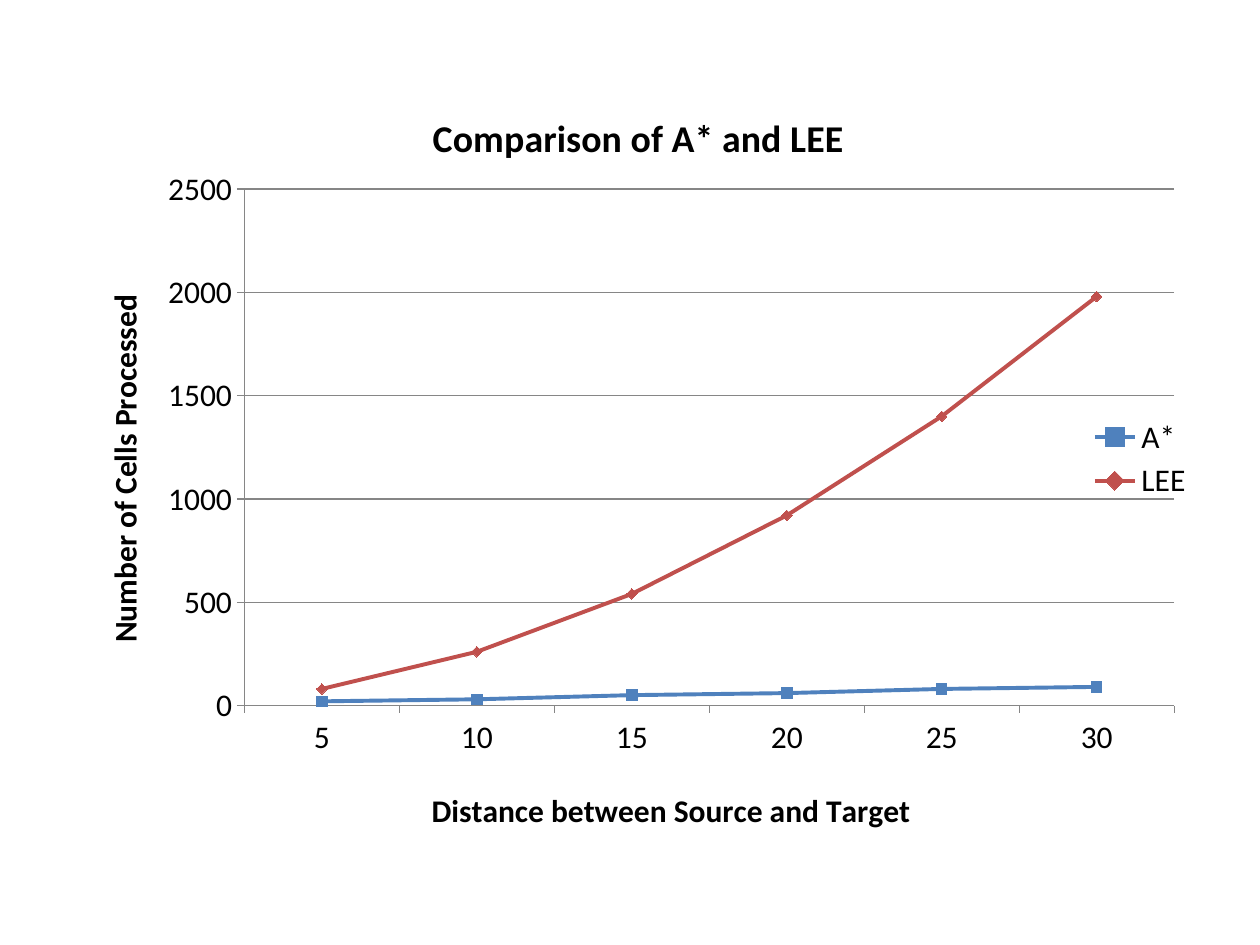
import lxml.etree
import pptx
import pptx.chart.data
import pptx.dml.color
import pptx.enum.chart
import pptx.oxml.ns
import pptx.util

Pt = pptx.util.Pt
ChartEnum = pptx.enum.chart


def color(hex_string):
    return pptx.dml.color.RGBColor.from_string(hex_string)


class ChartSlide:
    """Hold the chart style and the slide being built."""

    font_name = "Calibri"
    text_color = "000000"
    line_color = "868686"
    text_size = 18
    title_size = 21.6

    def __init__(self, presentation):
        self.slide = presentation.slides.add_slide(presentation.slide_layouts[6])

    def format_font(self, font, size, bold=False):
        font.name = self.font_name
        font.size = Pt(size)
        font.bold = bold
        font.color.rgb = color(self.text_color)

    def format_line(self, line, hex_string, width):
        line.color.rgb = color(hex_string)
        line.width = Pt(width)

    def write_title(self, title, text, size):
        run = title.text_frame.paragraphs[0].add_run()
        run.text = text
        self.format_font(run.font, size, bold=True)

    def format_axis(self, axis, text):
        axis.major_tick_mark = ChartEnum.XL_TICK_MARK.OUTSIDE
        axis.minor_tick_mark = ChartEnum.XL_TICK_MARK.NONE
        self.format_line(axis.format.line, self.line_color, 0.75)
        self.format_font(axis.tick_labels.font, self.text_size)
        self.write_title(axis.axis_title, text, self.text_size)

    def format_series(self, series, hex_string, marker_style):
        series.smooth = False
        self.format_line(series.format.line, hex_string, 2.25)
        series.marker.style = marker_style
        series.marker.size = 6
        series.marker.format.fill.solid()
        series.marker.format.fill.fore_color.rgb = color(hex_string)
        self.format_line(series.marker.format.line, hex_string, 0.75)

    def place(self, element, **fractions):
        qn = pptx.oxml.ns.qn
        for old_layout in element.findall(qn("c:layout")):
            element.remove(old_layout)
        layout = lxml.etree.Element(qn("c:layout"))
        manual = lxml.etree.SubElement(layout, qn("c:manualLayout"))
        settings = {"xMode": "edge", "yMode": "edge", **fractions}
        if element.tag == qn("c:plotArea"):
            settings = {"layoutTarget": "inner", **settings}
        for name, value in settings.items():
            lxml.etree.SubElement(manual, qn("c:" + name), val=str(value))
        element.insert(0 if "layoutTarget" in settings else 1, layout)

    def add_line_chart(self, box, title, axis_titles, categories, series_styles):
        data = pptx.chart.data.CategoryChartData()
        data.categories = categories
        for name, values, _, _ in series_styles:
            data.add_series(name, values)
        chart = self.slide.shapes.add_chart(
            ChartEnum.XL_CHART_TYPE.LINE_MARKERS, *map(Pt, box), data).chart
        self.format_font(chart.font, self.text_size)
        chart.has_title = True
        self.write_title(chart.chart_title, title, self.title_size)
        chart.plots[0].vary_by_categories = False
        for axis, text in zip((chart.category_axis, chart.value_axis), axis_titles):
            self.format_axis(axis, text)
        chart.value_axis.minimum_scale = 0
        chart.value_axis.maximum_scale = 2500
        chart.value_axis.major_unit = 500
        chart.value_axis.has_major_gridlines = True
        self.format_line(chart.value_axis.major_gridlines.format.line,
                         self.line_color, 0.75)
        for series, (_, _, hex_string, marker) in zip(chart.plots[0].series, series_styles):
            self.format_series(series, hex_string, marker)
        chart.has_legend = True
        chart.legend.position = ChartEnum.XL_LEGEND_POSITION.RIGHT
        chart.legend.include_in_layout = True
        self.format_font(chart.legend.font, self.text_size)
        return chart

    def arrange(self, chart, positions):
        for query, fractions in positions.items():
            self.place(chart.element.xpath(query)[0], **fractions)


presentation = pptx.Presentation()
presentation.slide_width, presentation.slide_height = Pt(720), Pt(540)
comparison = ChartSlide(presentation)
Marker = ChartEnum.XL_MARKER_STYLE
chart = comparison.add_line_chart(
    (36, 42, 648, 440.5),
    "Comparison of A* and LEE",
    ("Distance between Source and Target", "Number of Cells Processed"),
    [str(distance) for distance in range(5, 31, 5)],
    [("A*", (20, 30, 50, 60, 80, 90), "4F81BD", Marker.SQUARE),
     ("LEE", (80, 260, 540, 920, 1400, 1980), "C0504D", Marker.DIAMOND)],
)
comparison.arrange(chart, {
    "c:chart/c:title": {"x": 0.32, "y": 0.04},
    ".//c:catAx/c:title": {"x": 0.32, "y": 0.92},
    ".//c:valAx/c:title": {"x": 0.03, "y": 0.28},
    ".//c:plotArea": {"x": 0.16, "y": 0.15, "w": 0.82, "h": 0.67},
    ".//c:legend": {"x": 0.9, "y": 0.44, "w": 0.1, "h": 0.12},
})
presentation.save("out.pptx")
